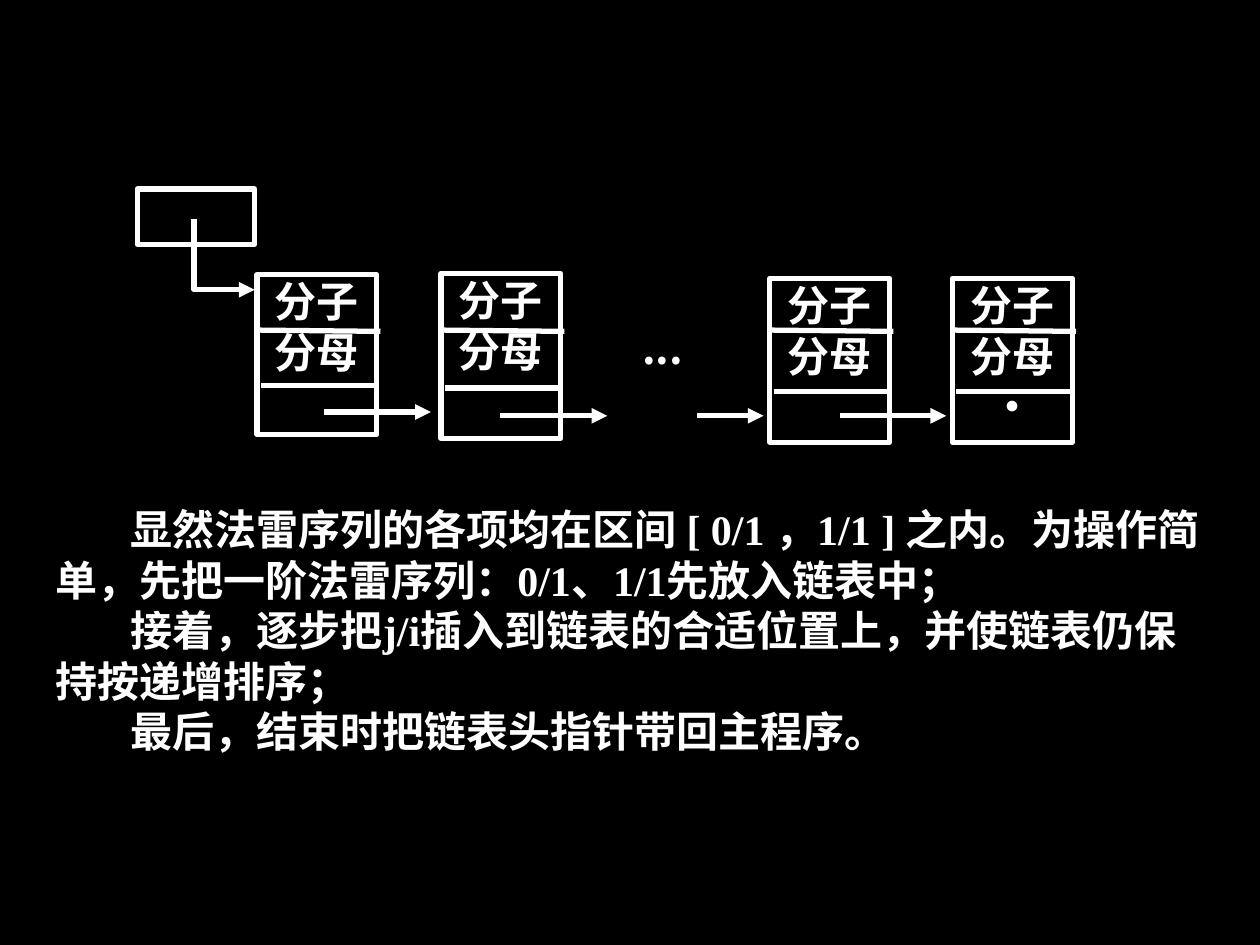
from lxml.etree import SubElement
from pptx import Presentation
from pptx.dml.color import RGBColor
from pptx.enum.shapes import MSO_CONNECTOR, MSO_SHAPE
from pptx.enum.text import MSO_ANCHOR, PP_ALIGN
from pptx.oxml.ns import qn
from pptx.util import Inches, Pt

INK = "FFFFFF"
PAPER = "000000"
CHINESE_FONT = "Noto Sans CJK SC"
LATIN_FONT = "Times New Roman"
NODE_WIDTH = 0.95
NODES = [
    (2.04, 2.18, 1.27, 3.06, ["分子", "分母"]),
    (3.5, 2.17, 1.31, 3.08, ["分子", "分母"]),
    (6.11, 2.21, 1.3, 3.11, ["分子", "分母"]),
    (7.56, 2.21, 1.3, 3.11, ["分子", "分母", "·"]),
]
LINKS = [(2.57, 3.42, 3.27), (3.97, 4.82, 3.3), (5.53, 6.06, 3.3), (6.67, 7.51, 3.3)]
EXPLANATION = [
    "显然法雷序列的各项均在区间 [ 0/1 ，1/1 ] 之内。为操作简单，先把一阶法雷序列：0/1、1/1先放入链表中；",
    "接着，逐步把j/i插入到链表的合适位置上，并使链表仍保持按递增排序；",
    "最后，结束时把链表头指针带回主程序。",
]


def color(value):
    return RGBColor.from_string(value)


def style_line(shape, arrow=False):
    shape.line.color.rgb = color(INK)
    shape.line.width = Pt(3)
    if arrow:
        SubElement(shape.line._get_or_add_ln(), qn("a:tailEnd"), type="triangle")


def write(box, lines, font, align, indent=0):
    frame = box.text_frame
    frame.word_wrap = True
    frame.vertical_anchor = MSO_ANCHOR.TOP
    frame.margin_left = frame.margin_right = Inches(0.01)
    frame.margin_top = frame.margin_bottom = Inches(0.01)
    frame.text = "\n".join(lines)
    for para in frame.paragraphs:
        para.alignment = align
        para.line_spacing = Pt(28.8)
        para._p.get_or_add_pPr().set("indent", str(Inches(indent)))
        for span in para.runs:
            span.font.size = Pt(24)
            span.font.bold = True
            span.font.name = font
            span.font.color.rgb = color(INK)
            SubElement(span.font._element, qn("a:ea"), typeface=CHINESE_FONT)


def add_frame(page, left, top, width, height):
    box = page.shapes.add_shape(
        MSO_SHAPE.RECTANGLE, Inches(left), Inches(top), Inches(width), Inches(height)
    )
    box.shadow.inherit = False
    box.fill.background()
    style_line(box)
    return box


def add_text(page, left, top, width, height, lines, font, align, indent=0):
    box = page.shapes.add_textbox(
        Inches(left), Inches(top), Inches(width), Inches(height)
    )
    write(box, lines, font, align, indent)


def add_line(page, left, top, right, bottom, arrow=False):
    line = page.shapes.add_connector(
        MSO_CONNECTOR.STRAIGHT, Inches(left), Inches(top), Inches(right), Inches(bottom)
    )
    style_line(line, arrow)
    SubElement(line._element.spPr, qn("a:effectLst"))


def add_node(page, left, top, height, divider, lines):
    box = add_frame(page, left, top, NODE_WIDTH, height)
    write(box, lines, CHINESE_FONT, PP_ALIGN.CENTER)
    add_line(page, left, 2.62, left + 0.98, 2.63)
    add_line(page, left + 0.03, divider, left + NODE_WIDTH, divider)


def add_head_pointer(page):
    add_frame(page, 1.09, 1.5, 0.93, 0.44)
    builder = page.shapes.build_freeform(Inches(1.54), Inches(1.74))
    corners = [(Inches(1.54), Inches(2.3)), (Inches(2.02), Inches(2.3))]
    builder.add_line_segments(corners, close=False)
    elbow = builder.convert_to_shape()
    elbow.shadow.inherit = False
    elbow.fill.background()
    style_line(elbow, arrow=True)


def main():
    deck = Presentation()
    deck.slide_width, deck.slide_height = Inches(10), Inches(7.5)
    page = deck.slides.add_slide(deck.slide_layouts[6])
    page.background.fill.solid()
    page.background.fill.fore_color.rgb = color(PAPER)
    add_head_pointer(page)
    for node in NODES:
        add_node(page, *node)
    add_text(page, 4.97, 2.55, 0.58, 0.56, ["..."], CHINESE_FONT, PP_ALIGN.CENTER)
    for start, end, height in LINKS:
        add_line(page, start, height, end, height, arrow=True)
    add_text(
        page, 0.43, 3.99, 9.14, 2.44, EXPLANATION, LATIN_FONT, PP_ALIGN.LEFT, 0.6
    )
    deck.save("out.pptx")


if __name__ == "__main__":
    main()
